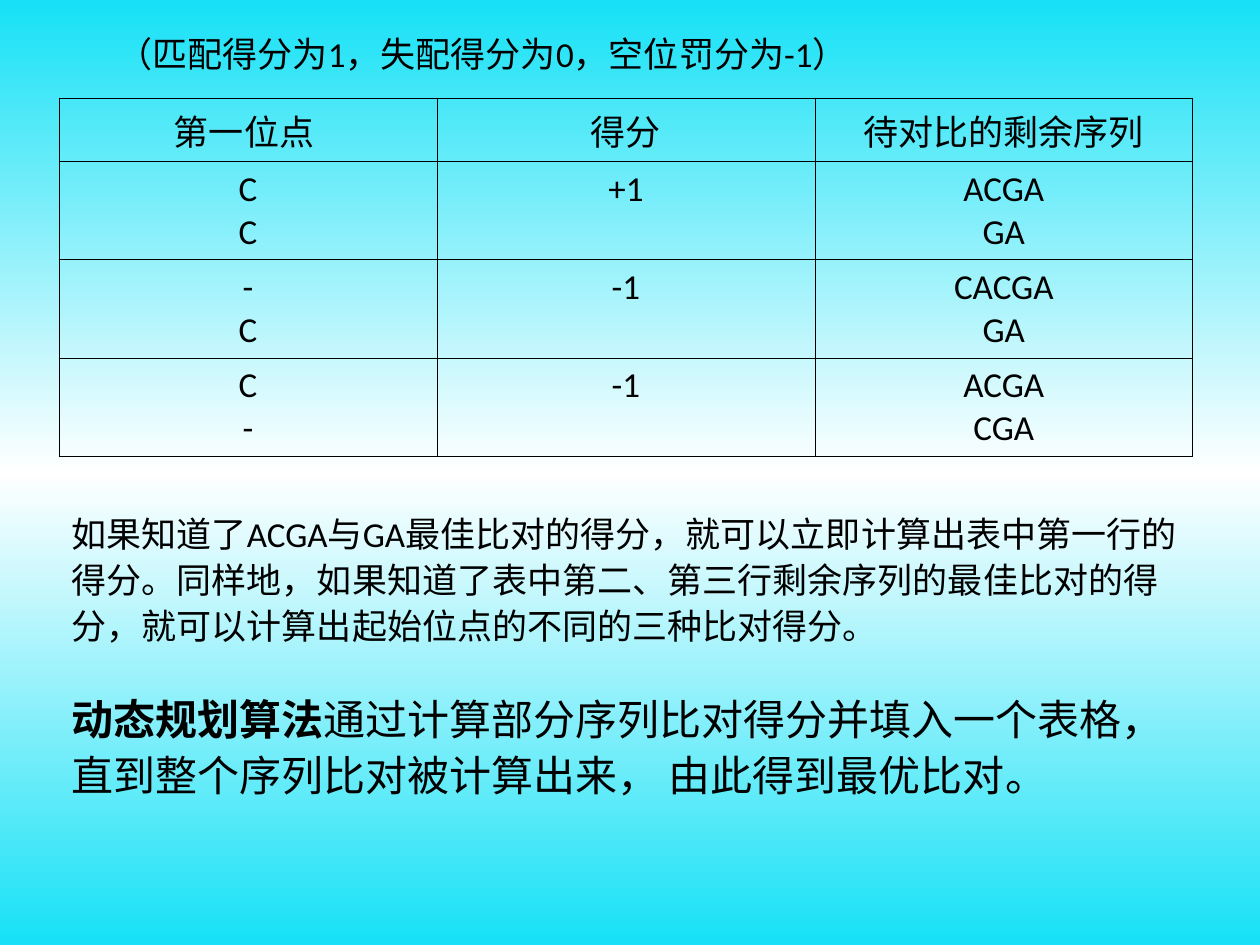
"""Build the slide on scoring the first site of a sequence alignment."""
from copy import deepcopy

from lxml import etree
from pptx import Presentation
from pptx.dml.color import RGBColor
from pptx.enum.text import MSO_ANCHOR, MSO_AUTO_SIZE, PP_ALIGN
from pptx.oxml.ns import qn
from pptx.util import Pt

LEFT, CENTER = PP_ALIGN.LEFT, PP_ALIGN.CENTER
MIDDLE = MSO_ANCHOR.MIDDLE
NO_FIT, GROW = MSO_AUTO_SIZE.NONE, MSO_AUTO_SIZE.SHAPE_TO_FIT_TEXT

SCORING = [("（匹配得分为1，失配得分为0，空位", "main"), ("罚", "alternate"), ("分为-1）", "main")]
ROWS = [
    ("第一位点 ", "得分", "待对比的剩余序列"),
    ("C\nC", "+1", "ACGA\nGA"),
    ("-\nC", "-1", "CACGA\nGA"),
    ("C\n-", "-1", "ACGA\nCGA"),
]
EXPLANATION = ("如果知道了ACGA与GA最佳比对的得分，就可以立即计算出表中第一行的得分。"
               "同样地，如果知道了表中第二、第三行剩余序列的最佳比对的得分，"
               "就可以计算出起始位点的不同的三种比对得分。")
METHOD = "动态规划算法"
METHOD_SUMMARY = "通过计算部分序列比对得分并填入一个表格，直到整个序列比对被计算出来， 由此得到最优比对。"

THEME = {
    "ink": "000000",
    "gradient": [(0, "16E1F6"), (0.5, "FFFFFF"), (1, "16E1F6")],
    "main": "Calibri", "alternate": "Arial",
    "body": 20, "emphasis": 24, "rule": 0.45,
}
PX = 914400 // 126
SLIDE = (1260, 945)
SCORING_BOX = (105, 26, 1052, 55)
TABLE_BOX = (59, 98, 1134, 347)
TITLE_BOX = (59, 462, 1134, 384)
HEADER_HEIGHT = 56


def emu(*lengths):
    return [length * PX for length in lengths]


def style(run, size="body", font="main", bold=False):
    run.font.size = Pt(THEME[size])
    run.font.name = THEME[font]
    run.font.bold = bold
    run.font.color.rgb = RGBColor.from_string(THEME["ink"])


def add_run(paragraph, text, **look):
    run = paragraph.add_run()
    run.text = text
    style(run, **look)


def paint_background(slide):
    fill = slide.background.fill
    fill.gradient()
    fill.gradient_angle = 270
    stop_list = slide.element.find(".//" + qn("a:gsLst"))
    stop_list.append(deepcopy(stop_list[0]))
    for stop, (position, color) in zip(fill.gradient_stops, THEME["gradient"]):
        stop.position = position
        stop.color.rgb = RGBColor.from_string(color)


def rule_cell(cell):
    properties = cell._tc.get_or_add_tcPr()
    for side in ("lnL", "lnR", "lnT", "lnB"):
        line = etree.SubElement(properties, qn("a:" + side), w=str(Pt(THEME["rule"])))
        solid = etree.SubElement(line, qn("a:solidFill"))
        etree.SubElement(solid, qn("a:srgbClr"), val=THEME["ink"])
    cell.fill.background()


def add_explanation(slide):
    title = slide.shapes.title
    title.left, title.top, title.width, title.height = emu(*TITLE_BOX)
    frame = title.text_frame
    frame.auto_size = NO_FIT
    frame.vertical_anchor = MIDDLE
    explanation, summary = frame.paragraphs[0], frame.add_paragraph()
    for paragraph in (explanation, summary):
        paragraph.alignment = LEFT
        paragraph.line_spacing = 1.1
    summary.space_before = Pt(24)
    add_run(explanation, EXPLANATION)
    add_run(summary, METHOD, size="emphasis", bold=True)
    add_run(summary, METHOD_SUMMARY, size="emphasis")


def add_score_table(slide):
    table = slide.shapes.add_table(len(ROWS), len(ROWS[0]), *emu(*TABLE_BOX)).table
    table.first_row = table.horz_banding = False
    row_height = (TABLE_BOX[3] - HEADER_HEIGHT) // (len(ROWS) - 1)
    for index, texts in enumerate(ROWS):
        table.rows[index].height = (row_height if index else HEADER_HEIGHT) * PX
        for column, text in enumerate(texts):
            cell = table.cell(index, column)
            rule_cell(cell)
            cell.text_frame.text = text
            for paragraph in cell.text_frame.paragraphs:
                paragraph.alignment = CENTER
                style(paragraph.runs[0])


def add_scoring(slide):
    frame = slide.shapes.add_textbox(*emu(*SCORING_BOX)).text_frame
    frame.word_wrap = True
    frame.auto_size = GROW
    for text, font in SCORING:
        add_run(frame.paragraphs[0], text, font=font)


def main():
    deck = Presentation()
    deck.slide_width, deck.slide_height = emu(*SLIDE)
    slide = deck.slides.add_slide(deck.slide_layouts.get_by_name("Title Only"))
    paint_background(slide)
    add_explanation(slide)
    add_score_table(slide)
    add_scoring(slide)
    deck.save("out.pptx")


if __name__ == "__main__":
    main()
